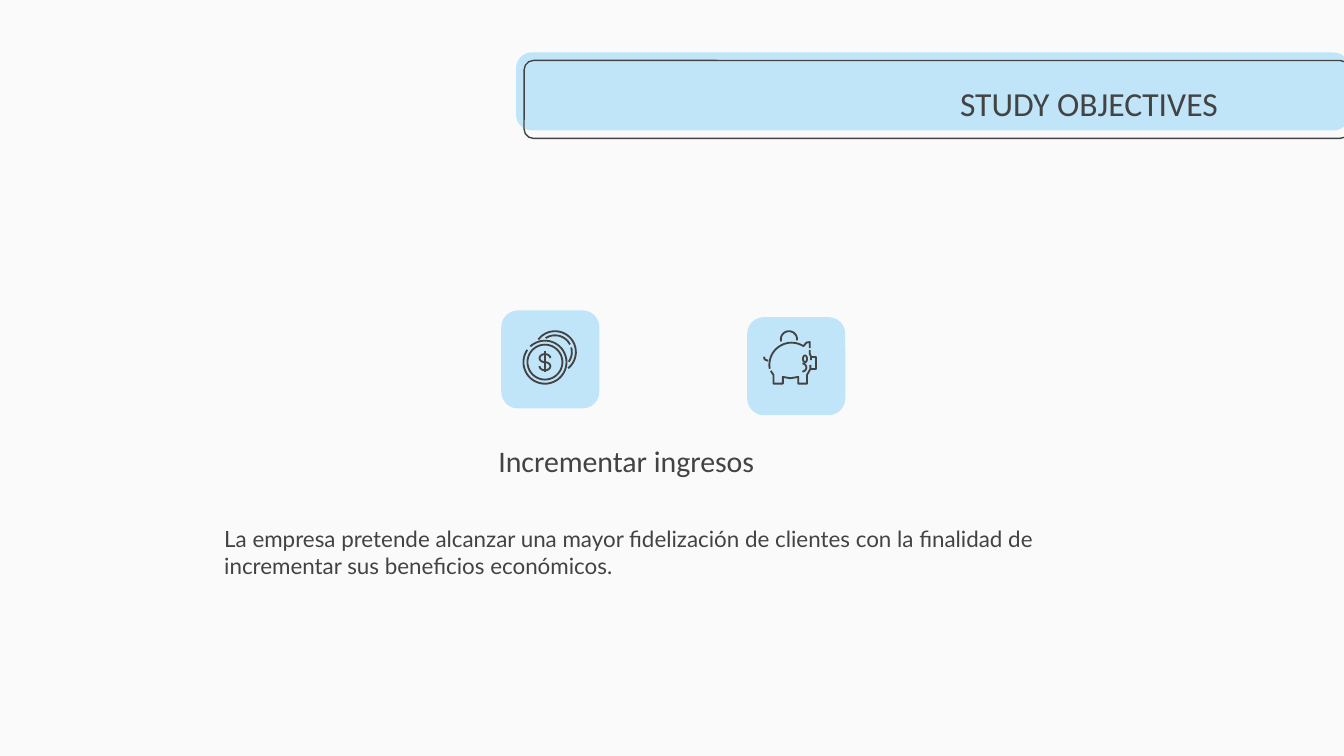
from math import cos, radians, sin

from pptx import Presentation
from pptx.dml.color import RGBColor
from pptx.enum import shapes, text
from pptx.util import Inches, Pt

COLORS = {"bg": "FAFAFA", "blue": "C1E5F8", "ink": "434343"}


def rgb(name):
    return RGBColor.from_string(COLORS[name])


def style(sp, fill=None, line=None, width=0.75):
    sp.shadow.inherit = False
    if fill:
        sp.fill.solid()
        sp.fill.fore_color.rgb = rgb(fill)
    else:
        sp.fill.background()
    if line:
        sp.line.color.rgb = rgb(line)
        sp.line.width = Pt(width)
    else:
        sp.line.fill.background()


def add_card(s, x, y, w, h, radius, **look):
    sp = s.shapes.add_shape(shapes.MSO_SHAPE.ROUNDED_RECTANGLE,
                            Inches(x), Inches(y), Inches(w), Inches(h))
    sp.adjustments[0] = radius
    style(sp, **look)


def add_text(s, x, y, w, h, words, font, size, anchor, align):
    tf = s.shapes.add_textbox(Inches(x), Inches(y), Inches(w), Inches(h)).text_frame
    tf.word_wrap = True
    tf.margin_left = tf.margin_right = tf.margin_top = tf.margin_bottom = Inches(0.1)
    tf.vertical_anchor = anchor
    tf.text = words
    p = tf.paragraphs[0]
    p.alignment = align
    r = p.runs[0]
    r.font.name, r.font.size = font, Pt(size)
    r.font.color.rgb = rgb("ink")


def arc(cx, cy, rx, start, end, ry=None):
    """Points along an arc; degrees run clockwise from the right."""
    ry = ry or rx
    n = max(8, int(abs(end - start) / 6))
    angles = [radians(start + (end - start) * i / n) for i in range(n + 1)]
    return [(cx + rx * cos(a), cy + ry * sin(a)) for a in angles]


def draw_strokes(s, x, y, strokes):
    """Group of line strokes, each a list of points relative to (x, y)."""
    group = s.shapes.add_group_shape()
    for stroke in strokes:
        pts = [(Inches(x + px), Inches(y + py)) for px, py in stroke]
        fb = group.shapes.build_freeform(*pts[0], scale=1.0)
        fb.add_line_segments(pts[1:], close=False)
        style(fb.convert_to_shape(), line="ink", width=1)


def add_banner(s, x, y, w, h):
    add_card(s, x, y, w, h, 0.2, fill="blue")
    add_card(s, x + 0.06, y + 0.06, w - 0.06, h, 0.12, line="ink")
    add_text(s, x + 1.83, y + 0.11, 3.49, 0.53, "STUDY OBJECTIVES", "Calibri", 18,
             text.MSO_ANCHOR.MIDDLE, text.PP_ALIGN.RIGHT)


def add_coins(s, x, y):
    front, back, mid = (0.175, 0.235), (0.25, 0.16), 0.175
    draw_strokes(s, x, y, [
        arc(*front, 0.16, 227, 575),
        arc(*front, 0.13, 0, 360),
        arc(*back, 0.155, 217, 411),
        arc(*back, 0.125, 236, 333),
        arc(*back, 0.125, 344, 395),
        # dollar sign
        arc(mid, 0.205, 0.04, 360, 90, 0.03) + arc(mid, 0.265, 0.04, 270, 540, 0.03),
        [(mid, 0.155), (mid, 0.305)],
    ])


def add_piggy(s, x, y):
    draw_strokes(s, x, y, [
        # coin, back with ear, tail
        arc(0.19, 0.065, 0.06, 165, 368),
        arc(0.21, 0.255, 0.165, 170, 300)
        + [(0.3, 0.115), (0.32, 0.09), (0.345, 0.085), (0.345, 0.13)],
        [(0.005, 0.195), (0.01, 0.215), (0.035, 0.225)],
        # snout
        [(0.345, 0.145), (0.345, 0.17), (0.355, 0.195), (0.355, 0.22)],
        [(0.355, 0.195), (0.395, 0.195), (0.395, 0.285), (0.35, 0.285)],
        # legs and belly
        [(0.35, 0.255), (0.35, 0.285), (0.325, 0.33), (0.325, 0.395),
         (0.26, 0.395), (0.26, 0.345), (0.2, 0.355), (0.145, 0.345),
         (0.145, 0.395), (0.075, 0.395), (0.075, 0.33), (0.055, 0.3)],
        # eye and mouth
        arc(0.31, 0.21, 0.015, 0, 360, 0.025),
        arc(0.29, 0.275, 0.03, -90, 90),
    ])


def add_icon_card(s, x, y, size, icon, dx, dy):
    add_card(s, x, y, size, size, 0.17, fill="blue")
    icon(s, x + dx, y + dy)


def add_objective(s, x, y):
    add_text(s, x + 2.04, y, 2.78, 0.42, "Incrementar ingresos", "Calibri", 16,
             text.MSO_ANCHOR.BOTTOM, text.PP_ALIGN.LEFT)
    add_text(s, x, y + 0.57, 6.74, 0.91,
             "La empresa pretende alcanzar una mayor fidelización de clientes "
             "con la finalidad de incrementar sus beneficios económicos.",
             "Lato", 12, text.MSO_ANCHOR.TOP, text.PP_ALIGN.LEFT)


def main():
    prs = Presentation()
    # 16:9 slide
    prs.slide_width = Inches(10)
    prs.slide_height = prs.slide_width * 9 // 16
    s = prs.slides.add_slide(prs.slide_layouts[6])
    s.background.fill.solid()
    s.background.fill.fore_color.rgb = rgb("bg")
    add_banner(s, 3.84, 0.39, 6.2, 0.58)
    add_icon_card(s, 3.73, 2.31, 0.73, add_coins, 0.15, 0.15)
    add_icon_card(s, 5.56, 2.36, 0.73, add_piggy, 0.12, 0.1)
    add_objective(s, 1.57, 3.24)
    prs.save("out.pptx")


if __name__ == "__main__":
    main()
